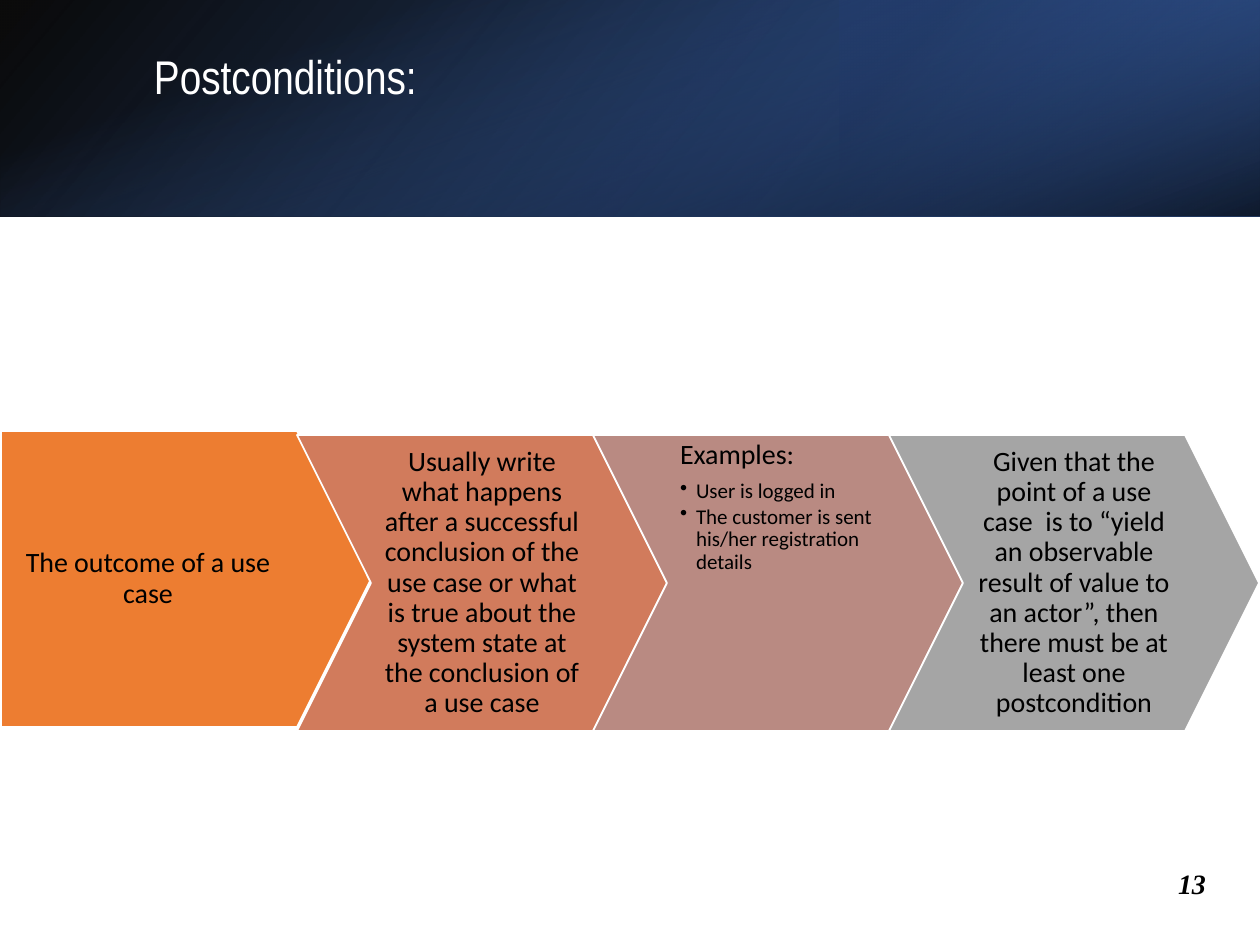
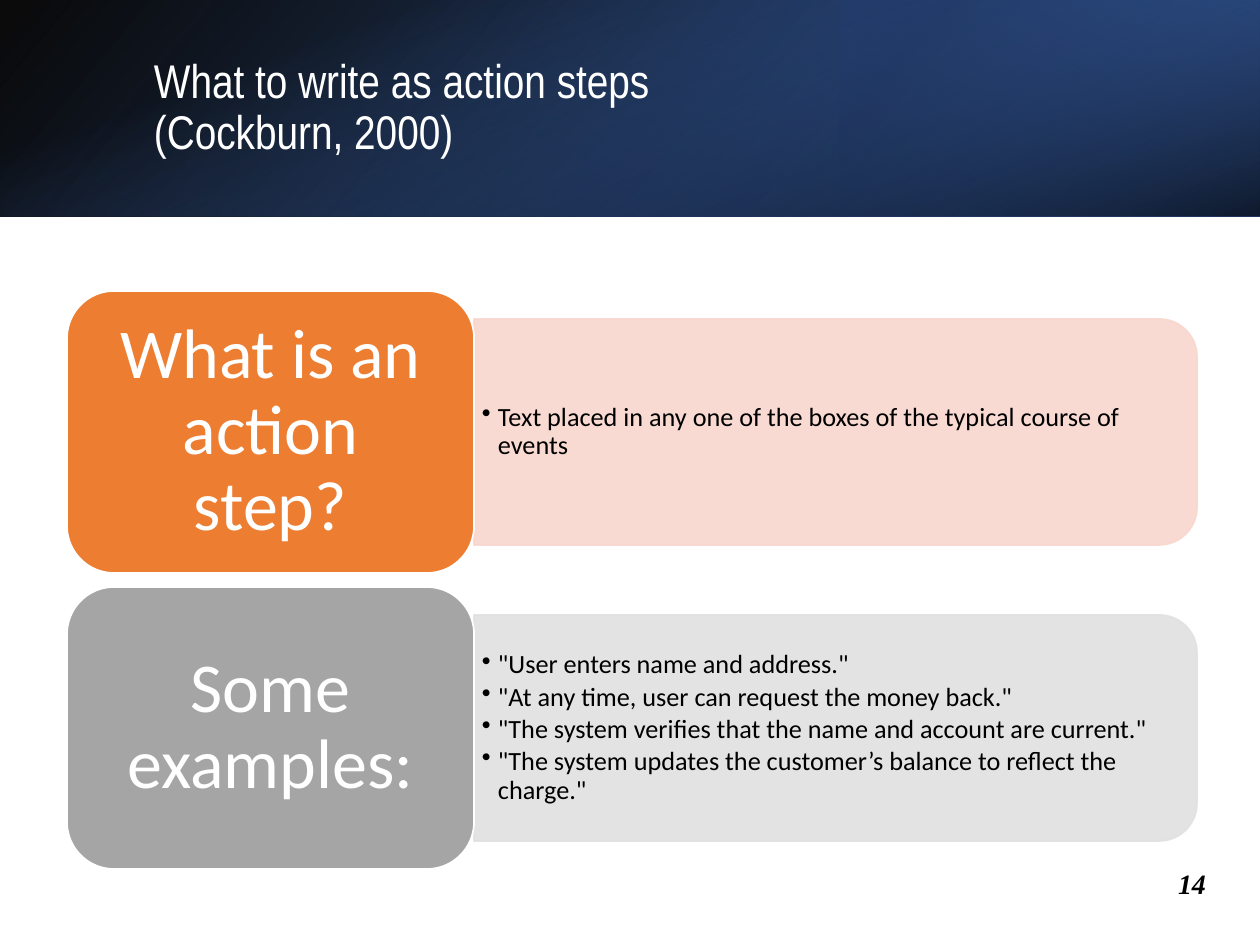
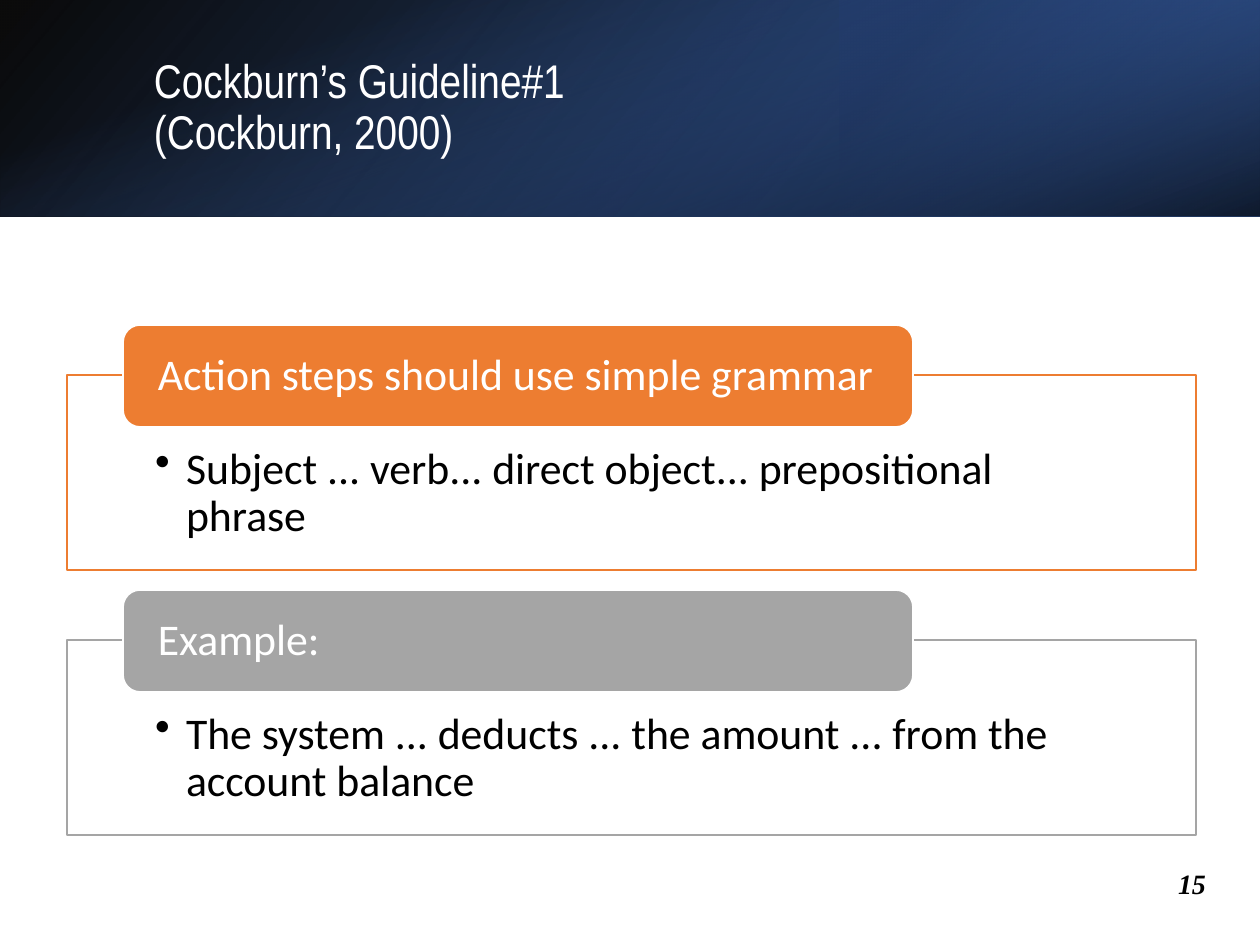
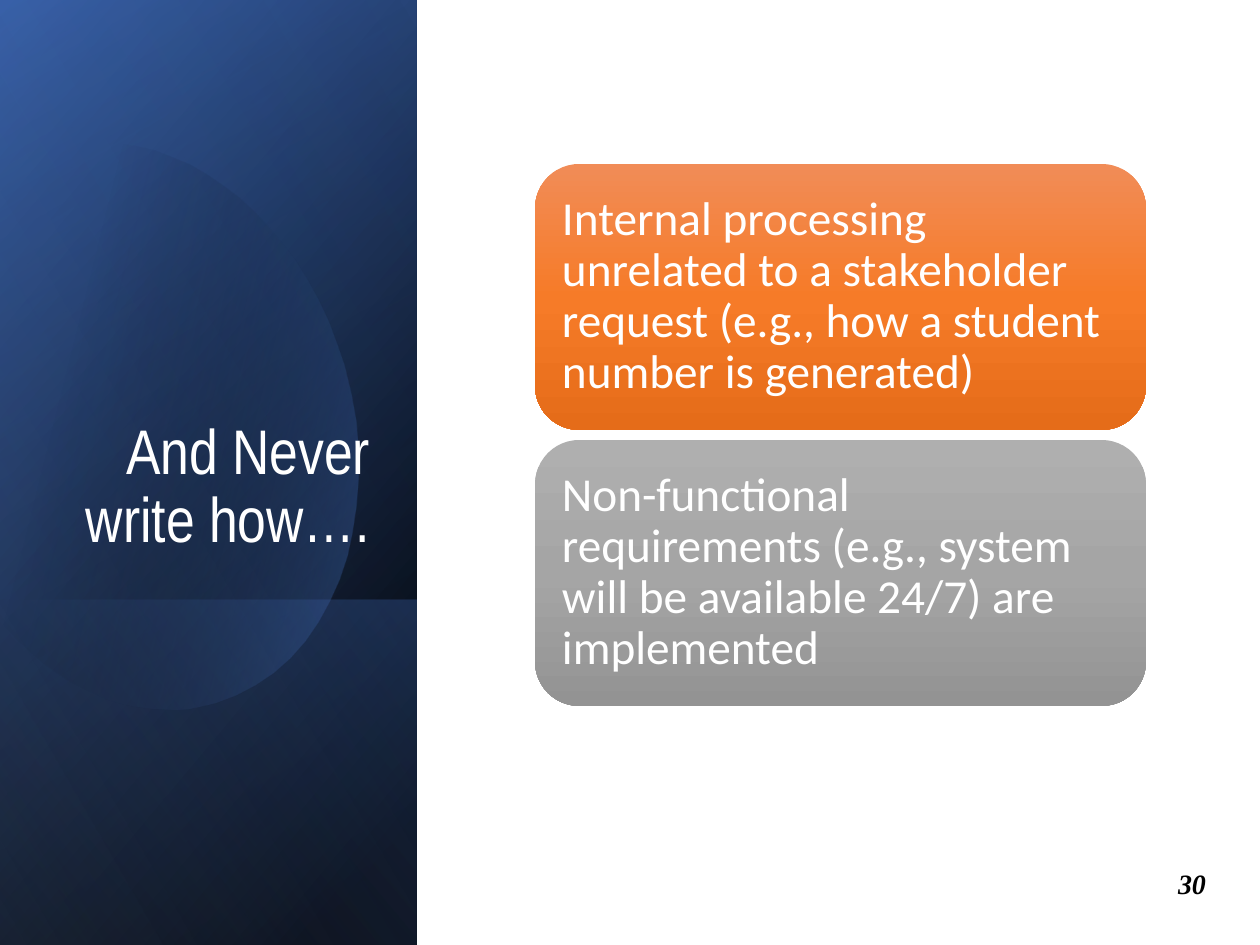
import pptx
import pptx.dml.color
import pptx.enum.shapes
import pptx.enum.text
import pptx.oxml
import pptx.oxml.ns
import pptx.util

RGB = pptx.dml.color.RGBColor
SHAPE = pptx.enum.shapes.MSO_SHAPE
ALIGN = pptx.enum.text.PP_ALIGN
ANCHOR = pptx.enum.text.MSO_ANCHOR
qn = pptx.oxml.ns.qn

BLACK = RGB(0x00, 0x00, 0x00)
WHITE = RGB(0xFF, 0xFF, 0xFF)
ORANGE = RGB(0xED, 0x7D, 0x31)
TERRACOTTA = RGB(0xD1, 0x7B, 0x5C)
ROSE = RGB(0xB9, 0x8A, 0x82)
GRAY = RGB(0xA5, 0xA5, 0xA5)
PALE_ORANGE = RGB(0xF8, 0xD7, 0xCE)
PALE_GRAY = RGB(0xE1, 0xE1, 0xE1)
NAVY = RGB(0x20, 0x38, 0x64)
DEEP_BLUE = RGB(0x2F, 0x55, 0x97)
BLUE = RGB(0x44, 0x72, 0xC4)
LIGHT_BLUE = RGB(0x8F, 0xAA, 0xDC)
ORANGE_GLOSS = [(0, RGB(0xF1, 0x8C, 0x57), 100), (50, RGB(0xF6, 0x7B, 0x28), 100),
                (100, RGB(0xE5, 0x6C, 0x19), 100)]
GRAY_GLOSS = [(0, RGB(0xAF, 0xAF, 0xAF), 100), (50, GRAY, 100),
              (100, RGB(0x93, 0x93, 0x93), 100)]

BODY_FONT = "Calibri"
TITLE_FONT = "Arial Narrow"
NUMBER_FONT = "Times New Roman"
WIDTH, HEIGHT = 1260, 945
SCALE = 914400 / 126


def emu(pixels):
    """Turn pixels into EMU."""
    return pptx.util.Emu(round(pixels * SCALE))


def add_alpha(shape, color, opacity):
    """Make every use of a colour in the shape translucent."""
    for node in shape._element.spPr.iter(qn("a:srgbClr")):
        if node.get("val") == str(color):
            alpha = node.makeelement(qn("a:alpha"), {"val": str(opacity * 1000)})
            node.append(alpha)


def fill_gradient(shape, stops, angle):
    """Fill with a linear gradient of (position, colour, opacity) stops."""
    stop_xml = "".join(
        f'<a:gs pos="{position * 1000}"><a:srgbClr val="{color}">'
        f'<a:alpha val="{opacity * 1000}"/></a:srgbClr></a:gs>'
        for position, color, opacity in stops)
    gradient = pptx.oxml.parse_xml(
        f'<a:gradFill {pptx.oxml.ns.nsdecls("a")} rotWithShape="1"><a:gsLst>{stop_xml}'
        f'</a:gsLst><a:lin ang="{angle * 60000}" scaled="0"/></a:gradFill>')
    shape.fill.background()
    empty = shape._element.spPr.find(qn("a:noFill"))
    empty.getparent().replace(empty, gradient)


def add_box(page, kind, box, fill=None, line=None, opacity=100, stops=None,
            angle=0, turn=0, flip=False):
    """Draw a preset shape whose turned outline covers the box."""
    left, top, width, height = box
    if turn == 90:
        left, top = left + (width - height) / 2, top + (height - width) / 2
        width, height = height, width
    shape = page.shapes.add_shape(kind, emu(left), emu(top), emu(width), emu(height))
    shape.shadow.inherit = False
    shape.rotation = turn
    if flip:
        shape._element.spPr.find(qn("a:xfrm")).set("flipH", "1")
    if line is None:
        shape.line.fill.background()
    else:
        shape.line.color.rgb = line
        shape.line.width = pptx.util.Pt(1)
    if stops:
        fill_gradient(shape, stops, angle)
    else:
        shape.fill.solid()
        shape.fill.fore_color.rgb = fill
    if opacity < 100:
        add_alpha(shape, fill, opacity)
    return shape


def add_frame(page, box, anchor=ANCHOR.MIDDLE, insets=(13, 6, 13, 6)):
    """Place a wrapping text box and return its frame."""
    frame = page.shapes.add_textbox(*map(emu, box)).text_frame
    frame.word_wrap = True
    frame.vertical_anchor = anchor
    (frame.margin_left, frame.margin_top,
     frame.margin_right, frame.margin_bottom) = map(emu, insets)
    return frame


def add_text(frame, text, size=16, color=BLACK, font=BODY_FONT, align=ALIGN.LEFT,
             spacing=0.9, after=0.35, bullet=0, bold=False, italic=False):
    """Append a paragraph; bullet is its hanging indent."""
    para = frame.paragraphs[0]
    if para.runs:
        para = frame.add_paragraph()
    para.alignment = align
    para.line_spacing = spacing
    para.space_after = pptx.util.Pt(round(size * after, 2))
    if bullet:
        props = para._p.get_or_add_pPr()
        props.set("marL", str(emu(bullet)))
        props.set("indent", str(-emu(bullet)))
        props.append(props.makeelement(qn("a:buChar"), {"char": "•"}))
    for index, part in enumerate(text.split("\n")):
        if index:
            para.add_line_break()
        span = para.add_run()
        span.text = part
        span.font.size = pptx.util.Pt(size)
        span.font.name = font
        span.font.color.rgb = color
        span.font.bold = bold
        span.font.italic = italic


def add_page(deck, number):
    """Start a blank page with its number."""
    page = deck.slides.add_slide(deck.slide_layouts[6])
    frame = add_frame(page, (1165, 861, 95, 47), anchor=ANCHOR.TOP)
    add_text(frame, str(number), font=NUMBER_FONT, bold=True, italic=True,
             spacing=1.0, after=0)
    return page


def add_header(page, title, anchor=ANCHOR.MIDDLE):
    """Draw the dark blue band across the top with the title."""
    height = 217
    band = (0, 0, WIDTH, height)
    add_box(page, SHAPE.RECTANGLE, band, flip=True, angle=140,
            stops=[(0, BLACK, 96), (100, DEEP_BLUE, 100)])
    add_box(page, SHAPE.RECTANGLE, (WIDTH * 2 / 3, 0, WIDTH / 3, height), turn=180,
            flip=True, angle=320, stops=[(19, NAVY, 68), (100, BLUE, 79)])
    add_box(page, SHAPE.RECTANGLE, band, turn=90, angle=340,
            stops=[(23, BLUE, 0), (99, BLACK, 74)])
    frame = add_frame(page, (141, 48, 1038, 121), anchor=anchor)
    add_text(frame, title, size=27, color=WHITE, font=TITLE_FONT, after=0)


def curve_points(start, first, second, end, count=16):
    """Sample a cubic curve, leaving out its start."""
    points = []
    for step in range(1, count + 1):
        t = step / count
        weights = ((1 - t) ** 3, 3 * t * (1 - t) ** 2, 3 * t * t * (1 - t), t ** 3)
        points.append(tuple(
            sum(weight * value for weight, value in zip(weights, values))
            for values in zip(start, first, second, end)))
    return points


def add_glow(page):
    """Draw the faint oval on the side band."""
    top, right, bottom, low_left = (121, 144), (344, 365), (215, 702), (9, 630)
    shoulder = (57, 149)
    points = curve_points(top, (215, 154), (307, 242), right)
    points += curve_points(right, (387, 519), (330, 669), bottom)
    points += curve_points(bottom, (144, 723), (67, 693), low_left)
    points += [(-4, 615), (-32, 209), (-19, 194)]
    points += curve_points((-19, 194), (3, 172), (28, 158), shoulder)
    points += curve_points(shoulder, (78, 142), (100, 141), top)
    builder = page.shapes.build_freeform(*top, scale=SCALE)
    builder.add_line_segments(points, close=True)
    glow = builder.convert_to_shape()
    glow.shadow.inherit = False
    glow.line.fill.background()
    fill_gradient(glow, [(29, BLACK, 0), (100, BLUE, 43)], 14)


def add_side_band(page, title):
    """Draw the dark blue band down the left with the title."""
    width = 417
    band = (0, 0, width, HEIGHT)
    layers = [
        (band, 50, [(8, BLACK, 100), (100, DEEP_BLUE, 100)]),
        (band, 30, [(0, BLACK, 0), (99, BLUE, 46)]),
        ((0, 600, width, HEIGHT - 600), 130, [(2, BLUE, 29), (100, BLACK, 30)]),
    ]
    for box, angle, stops in layers:
        add_box(page, SHAPE.RECTANGLE, box, turn=90, flip=True, angle=angle, stops=stops)
    add_glow(page)
    add_box(page, SHAPE.RECTANGLE, band, turn=90, flip=True, angle=120,
            stops=[(0, BLACK, 0), (99, LIGHT_BLUE, 11)])
    frame = add_frame(page, (60, 232, 323, 330), anchor=ANCHOR.BOTTOM)
    add_text(frame, title, size=36, color=WHITE, font=TITLE_FONT,
             align=ALIGN.RIGHT, after=0)


def add_arrow(page, box, kind, fill, text, bullets=()):
    """Draw one arrow of the chain with its text."""
    left, top, width, height = box
    arrow = add_box(page, kind, box, fill=fill, line=WHITE)
    arrow.adjustments[0] = 0.25
    if kind == SHAPE.PENTAGON:
        area, insets = (left, top, width * 0.9, height), (13, 5, 52, 5)
    else:
        area, insets = (left + width / 5, top, width * 0.6, height), (13, 5, 13, 5)
    frame = add_frame(page, area, insets=insets,
                      anchor=ANCHOR.TOP if bullets else ANCHOR.MIDDLE)
    add_text(frame, text, align=ALIGN.LEFT if bullets else ALIGN.CENTER)
    for bullet in bullets:
        add_text(frame, bullet, size=12, after=0.15, bullet=16)


def add_topic_row(page, box, fill, tint, label, bullets):
    """Draw a large label with a tinted bullet panel on its right."""
    left, top, width, height = box
    label_width, drop = 407, 28
    panel = (left + label_width, top + drop, width - label_width, height - 2 * drop)
    add_box(page, SHAPE.ROUND_2_SAME_RECTANGLE, panel, fill=tint, line=tint,
            opacity=90, turn=90)
    frame = add_frame(page, (panel[0], panel[1] + 11, panel[2] - 11, panel[3] - 22),
                      insets=(8, 4, 8, 4))
    for bullet in bullets:
        add_text(frame, bullet, size=15, after=0.15, bullet=16)
    add_box(page, SHAPE.ROUNDED_RECTANGLE, (left, top, label_width, height),
            fill=fill, line=WHITE)
    frame = add_frame(page, (left + 14, top + 14, label_width - 28, height - 28),
                      insets=(21, 10, 21, 10))
    add_text(frame, label, size=40, color=WHITE, align=ALIGN.CENTER)


def add_outlined_section(page, box, color, heading, bullet):
    """Draw an outlined box with a heading tab over its top edge."""
    left, top, width, height = box
    add_box(page, SHAPE.RECTANGLE, box, fill=WHITE, line=color, opacity=90)
    frame = add_frame(page, box, anchor=ANCHOR.TOP, insets=(88, 72, 88, 24))
    add_text(frame, bullet, size=25, after=0.15, bullet=31)
    tab_left, tab_top, tab_width, tab_height = left + 56, top - 50, 790, 102
    add_box(page, SHAPE.ROUNDED_RECTANGLE, (tab_left, tab_top, tab_width, tab_height),
            fill=color, line=WHITE)
    frame = add_frame(page, (tab_left + 5, tab_top + 5, tab_width - 10, tab_height - 10),
                      insets=(30, 0, 30, 0))
    add_text(frame, heading, size=25, color=WHITE)


def add_card(page, box, stops, text):
    """Draw a glossy rounded card."""
    left, top, width, height = box
    add_box(page, SHAPE.ROUNDED_RECTANGLE, box, stops=stops, angle=90)
    frame = add_frame(page, (left + 13, top + 13, width - 26, height - 26),
                      insets=(14, 14, 14, 14))
    add_text(frame, text, size=27, color=WHITE)


def build_postconditions(deck):
    """Build the page with the chain of arrows."""
    page = add_page(deck, 13)
    add_header(page, "Postconditions:", anchor=ANCHOR.TOP)
    arrows = [
        (ORANGE, "The outcome of a use case", ()),
        (TERRACOTTA, "Usually write what happens after a successful conclusion of the "
         "use case or what is true about the system state at the conclusion of a use case",
         ()),
        (ROSE, "Examples:",
         ("User is logged in", "The customer is sent his/her registration details")),
        (GRAY, "Given that the point of a use case  is to “yield an observable result of "
         "value to an actor”, then there must be at least one postcondition", ()),
    ]
    for index, (fill, text, bullets) in enumerate(arrows):
        kind = SHAPE.CHEVRON if index else SHAPE.PENTAGON
        top = 435 if index else 431
        add_arrow(page, (1 + index * 296, top, 370, 296), kind, fill, text, bullets)


def build_action_steps(deck):
    """Build the page with the two topic rows."""
    page = add_page(deck, 14)
    add_header(page, "What to write as action steps\n(Cockburn, 2000)")
    rows = [
        (ORANGE, PALE_ORANGE, "What is an action step?",
         ["Text placed in any one of the boxes of the typical course of events"]),
        (GRAY, PALE_GRAY, "Some examples:",
         ['"User enters name and address."',
          '"At any time, user can request the money back."',
          '"The system verifies that the name and account are current."',
          '"The system updates the customer’s balance to reflect the charge."']),
    ]
    for index, row in enumerate(rows):
        add_topic_row(page, (67, 291 + index * 296, 1130, 282), *row)


def build_guideline(deck):
    """Build the page with the two outlined sections."""
    page = add_page(deck, 15)
    add_header(page, "Cockburn’s Guideline#1\n(Cockburn, 2000)")
    sections = [
        (ORANGE, "Action steps should use simple grammar",
         "Subject ... verb... direct object... prepositional phrase"),
        (GRAY, "Example:",
         "The system ... deducts ... the amount ... from the account balance"),
    ]
    for index, section in enumerate(sections):
        add_outlined_section(page, (67, 375 + index * 265, 1129, 195), *section)


def build_never_write(deck):
    """Build the page with the side band and two cards."""
    page = add_page(deck, 30)
    add_side_band(page, "And Never write how….")
    cards = [
        (ORANGE_GLOSS, "Internal processing unrelated to a stakeholder request "
         "(e.g., how a student number is generated)"),
        (GRAY_GLOSS, "Non-functional requirements (e.g., system will be available 24/7) "
         "are implemented"),
    ]
    for index, card in enumerate(cards):
        add_card(page, (535, 164 + index * 276, 611, 266), *card)


def main():
    """Build and save the deck."""
    deck = pptx.Presentation()
    deck.slide_width, deck.slide_height = emu(WIDTH), emu(HEIGHT)
    build_postconditions(deck)
    build_action_steps(deck)
    build_guideline(deck)
    build_never_write(deck)
    deck.save("out.pptx")


main()
